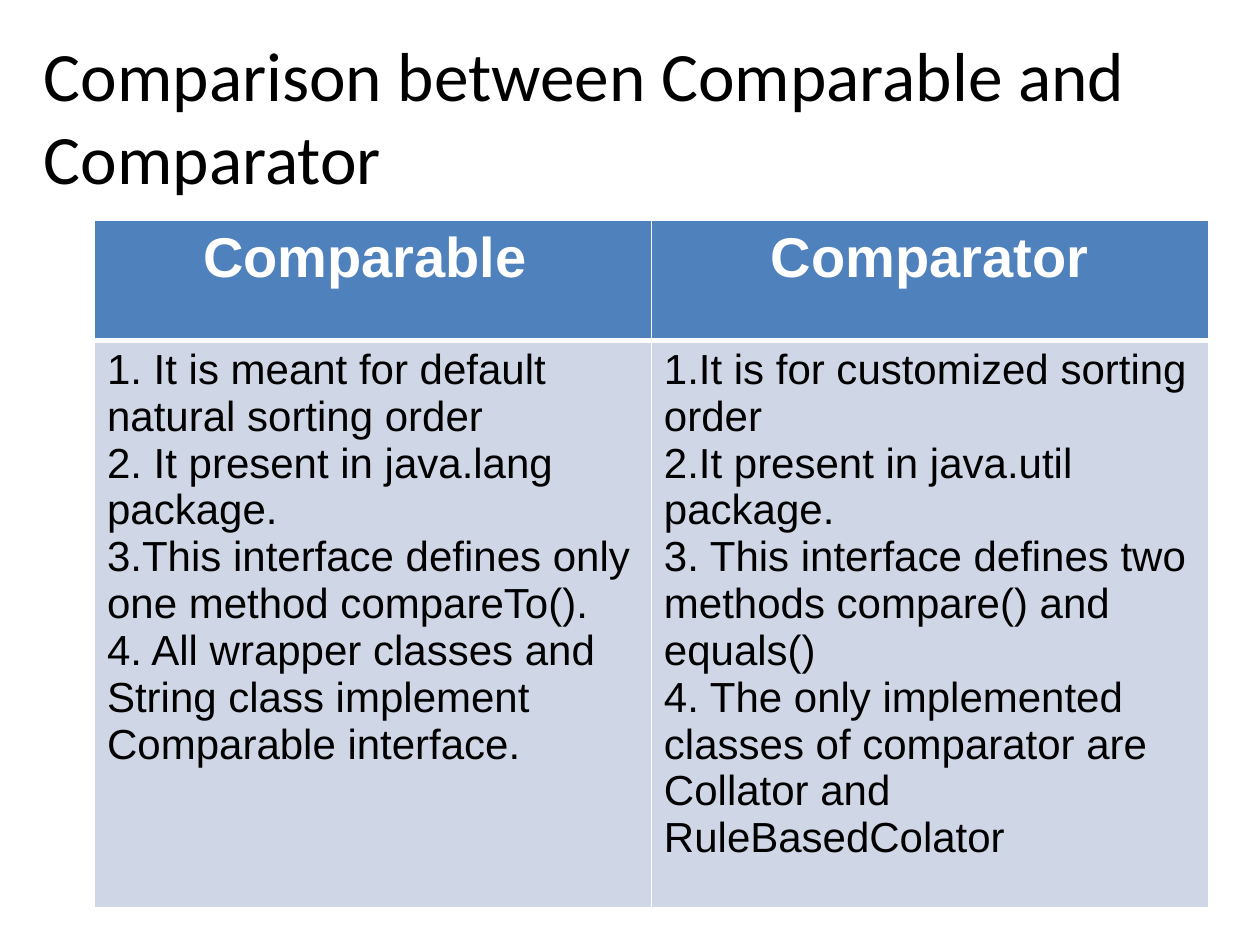
from lxml import etree
from pptx import Presentation
from pptx.dml.color import RGBColor
from pptx.enum.text import MSO_ANCHOR, PP_ALIGN
from pptx.oxml.ns import qn
from pptx.util import Inches, Pt

BLACK = RGBColor(0x00, 0x00, 0x00)
WHITE = RGBColor(0xFF, 0xFF, 0xFF)
BLUE = RGBColor(0x4F, 0x81, 0xBD)
PALE_BLUE = RGBColor(0xCF, 0xD7, 0xE7)
LEFT, CENTER = PP_ALIGN.LEFT, PP_ALIGN.CENTER
MIDDLE = MSO_ANCHOR.MIDDLE

TITLE_FONT = {"name": "Calibri", "size": Pt(39.6), "bold": False}
HEADER_FONT = {"name": "Arial", "size": Pt(32), "bold": True}
BODY_FONT = {"name": "Arial", "size": Pt(24), "bold": False}

COMPARISON = {
    "Comparable ": [
        "1. It is meant for default natural sorting order",
        "2. It present in java.lang package.",
        "3.This interface defines only one method compareTo().",
        "4. All wrapper classes and String class implement Comparable interface.",
    ],
    "Comparator": [
        "1.It is for customized sorting order",
        "2.It present in java.util package.",
        "3. This interface defines two methods compare() and equals()",
        "4. The only implemented classes of comparator are Collator and RuleBasedColator",
    ],
}


class SlideBuilder:
    def __init__(self, slide):
        self.slide = slide

    def add_lines(self, frame, lines, font, color, align=LEFT):
        for index, line in enumerate(lines):
            paragraph = frame.paragraphs[0] if index == 0 else frame.add_paragraph()
            paragraph.alignment = align
            run = paragraph.add_run()
            run.text = line
            for key, value in font.items():
                setattr(run.font, key, value)
            run.font.color.rgb = color

    def title(self, text, left, top, width, height):
        heading = self.slide.shapes.add_textbox(left, top, width, height)
        frame = heading.text_frame
        frame.word_wrap = True
        frame.vertical_anchor = MIDDLE
        self.add_lines(frame, [text], TITLE_FONT, BLACK)

    def borders(self, cell, **widths):
        properties = cell._tc.get_or_add_tcPr()
        for position, (side, points) in enumerate(widths.items()):
            line = etree.Element(qn(f"a:ln{side}"), w=str(Pt(points)))
            solid = etree.SubElement(line, qn("a:solidFill"))
            etree.SubElement(solid, qn("a:srgbClr"), val=str(WHITE))
            properties.insert(position, line)

    def cell(self, cell, lines, font, color, fill, align, top, bottom):
        cell.fill.solid()
        cell.fill.fore_color.rgb = fill
        self.borders(cell, L=1, R=1, T=top, B=bottom)
        self.add_lines(cell.text_frame, lines, font, color, align)

    def table(self, columns, left, top, column_width, row_heights):
        frame = self.slide.shapes.add_table(
            len(row_heights), len(columns), left, top,
            column_width * len(columns), sum(row_heights))
        table = frame.table
        for row, height in zip(table.rows, row_heights):
            row.height = height
        for index, (header, points) in enumerate(columns.items()):
            table.columns[index].width = column_width
            self.cell(table.cell(0, index), [header], HEADER_FONT, WHITE,
                      BLUE, CENTER, top=1, bottom=3)
            self.cell(table.cell(1, index), points, BODY_FONT, BLACK,
                      PALE_BLUE, LEFT, top=3, bottom=1)


def main():
    deck = Presentation()
    deck.slide_width, deck.slide_height = Inches(10), Inches(7.5)
    builder = SlideBuilder(deck.slides.add_slide(deck.slide_layouts[6]))

    # Title
    builder.title("Comparison between Comparable and Comparator",
                  Inches(0.25), Inches(0.29), Inches(9.75), Inches(1.25))

    # Comparison table
    builder.table(COMPARISON, Inches(0.75), Inches(1.75), Inches(4.42),
                  [Inches(0.95), Inches(4.18)])

    deck.save("out.pptx")


if __name__ == "__main__":
    main()
